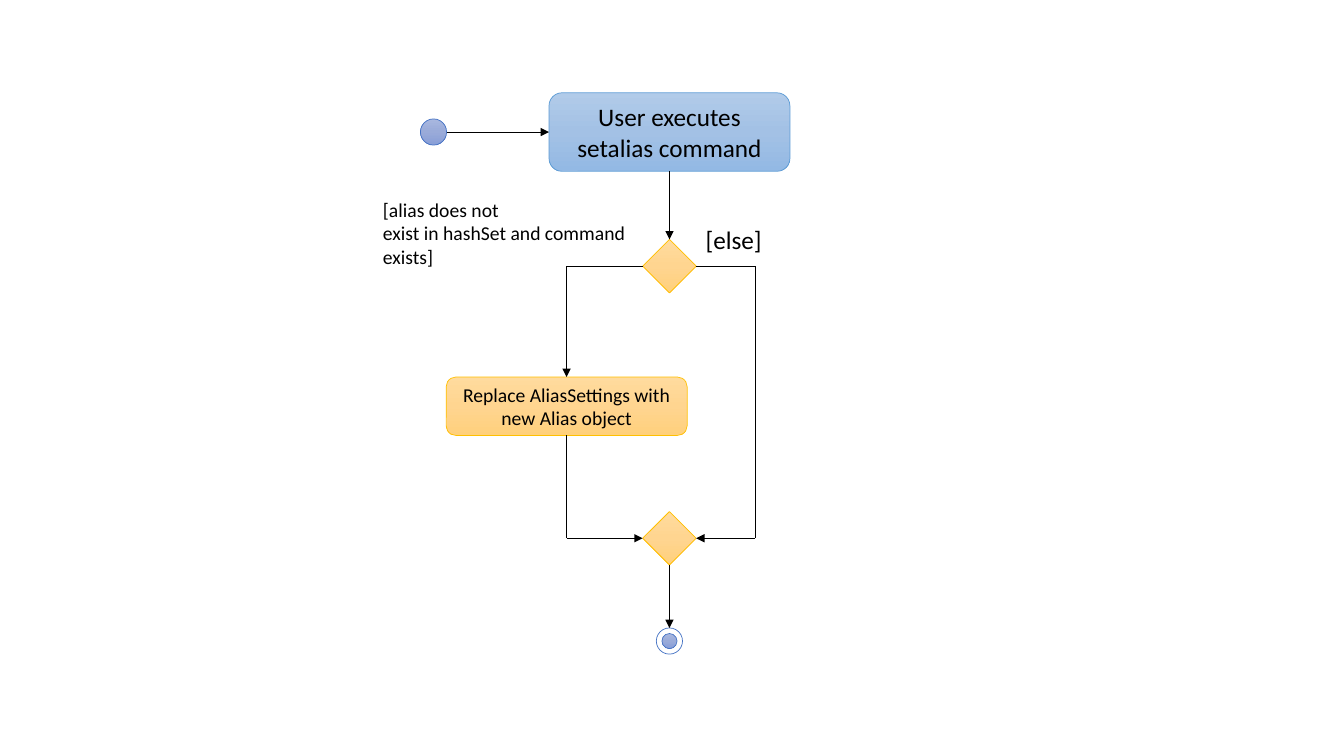
import copy
import itertools

import pptx
import pptx.dml.color
import pptx.enum.shapes
import pptx.enum.text
import pptx.oxml
import pptx.oxml.ns
import pptx.util

RGBColor = pptx.dml.color.RGBColor
Shape = pptx.enum.shapes.MSO_SHAPE
Align = pptx.enum.text.PP_ALIGN

BLACK = RGBColor(0x00, 0x00, 0x00)
WHITE = RGBColor(0xFF, 0xFF, 0xFF)
INDIGO_LINE = RGBColor(0x44, 0x72, 0xC4)
BLUE_LINE = RGBColor(0x5B, 0x9B, 0xD5)
GOLD_LINE = RGBColor(0xFF, 0xC0, 0x00)
INDIGO = (RGBColor(0xA8, 0xB7, 0xDF), RGBColor(0x9A, 0xAB, 0xD9), RGBColor(0x88, 0x9E, 0xD7))
BLUE = (RGBColor(0xB1, 0xCB, 0xE9), RGBColor(0xA3, 0xC1, 0xE5), RGBColor(0x93, 0xB9, 0xE4))
GOLD = (RGBColor(0xFF, 0xDB, 0x9E), RGBColor(0xFF, 0xD5, 0x90), RGBColor(0xFF, 0xD0, 0x7C))

TOP, LEFT, BOTTOM, RIGHT = range(4)


class ActivityDiagram:
    """Draws on one slide, with lengths in cells of a square grid."""

    font_name = "Calibri"
    line_width = pptx.util.Pt(0.5)
    cell = pptx.util.Inches(0.1)

    def __init__(self, slide):
        self.slide = slide

    def cells(self, *lengths):
        return [round(length * self.cell) for length in lengths]

    def set_text(self, shape, lines, size, alignment):
        frame = shape.text_frame
        frame.word_wrap = True
        frame.text = "\n".join(lines)
        for paragraph in frame.paragraphs:
            paragraph.alignment = alignment
            paragraph.font.name = self.font_name
            paragraph.font.size = pptx.util.Pt(size)
            paragraph.font.color.rgb = BLACK

    def shade(self, shape, colours):
        """Fill from top to bottom with evenly spaced colours."""
        shape.fill.gradient()
        shape.fill.gradient_angle = 270
        stop_list = shape.fill.gradient_stops[0]._gs.getparent()
        stop_list.insert(1, copy.deepcopy(stop_list[0]))
        for index, (stop, colour) in enumerate(zip(shape.fill.gradient_stops, colours)):
            stop.position = index / (len(colours) - 1)
            stop.color.rgb = colour

    def node(self, kind, centre, size, fill, line, text="", text_size=18):
        """Place a shape by its centre; fill is one colour or a gradient's colours."""
        (x, y), (width, height) = centre, size
        shape = self.slide.shapes.add_shape(
            kind, *self.cells(x - width / 2, y - height / 2, width, height))
        shape.shadow.inherit = False
        if isinstance(fill, RGBColor):
            shape.fill.solid()
            shape.fill.fore_color.rgb = fill
        else:
            self.shade(shape, fill)
        shape.line.color.rgb = line
        shape.line.width = self.line_width
        if text:
            self.set_text(shape, [text], text_size, Align.CENTER)
            shape.text_frame.vertical_anchor = pptx.enum.text.MSO_ANCHOR.MIDDLE
        return shape

    def circle(self, centre, diameter, fill):
        return self.node(Shape.OVAL, centre, (diameter, diameter), fill, INDIGO_LINE)

    def diamond(self, centre):
        return self.node(Shape.DIAMOND, centre, (5.3, 5.3), GOLD, GOLD_LINE)

    def action(self, centre, height, fill, line, text, text_size):
        return self.node(Shape.ROUNDED_RECTANGLE, centre, (23.9, height),
                         fill, line, text, text_size)

    def label(self, left, top, width, height, lines, size):
        box = self.slide.shapes.add_textbox(*self.cells(left, top, width, height))
        self.set_text(box, lines, size, Align.LEFT)
        box.text_frame.auto_size = pptx.enum.text.MSO_AUTO_SIZE.SHAPE_TO_FIT_TEXT

    def side_middle(self, shape, side):
        across = {LEFT: 0, RIGHT: shape.width}.get(side, shape.width // 2)
        down = {TOP: 0, BOTTOM: shape.height}.get(side, shape.height // 2)
        return shape.left + across, shape.top + down

    def connection_site(self, shape, side):
        """Return the site number of a side; an oval has eight sites."""
        return side * 2 if shape.auto_shape_type == Shape.OVAL else side

    def flow(self, source, source_side, target, target_side, *corners):
        """Join two nodes by straight segments, with an arrowhead on the last."""
        points = [self.side_middle(source, source_side),
                  *(self.cells(*corner) for corner in corners),
                  self.side_middle(target, target_side)]
        segments = [self.segment(*pair) for pair in itertools.pairwise(points)]
        segments[0].begin_connect(source, self.connection_site(source, source_side))
        segments[-1].end_connect(target, self.connection_site(target, target_side))
        # Joining an oval uses the first four sites only, so the ends are set again.
        segments[0].begin_x, segments[0].begin_y = points[0]
        segments[-1].end_x, segments[-1].end_y = points[-1]
        segments[-1].line._get_or_add_ln().append(pptx.oxml.parse_xml(
            f'<a:tailEnd {pptx.oxml.ns.nsdecls("a")} type="triangle"/>'))

    def segment(self, begin, end):
        connector = self.slide.shapes.add_connector(
            pptx.enum.shapes.MSO_CONNECTOR.STRAIGHT, *begin, *end)
        connector.line.color.rgb = BLACK
        connector.line.width = self.line_width
        connector._element.spPr.append(pptx.oxml.parse_xml(
            f'<a:effectLst {pptx.oxml.ns.nsdecls("a")}/>'))
        return connector


def main():
    presentation = pptx.Presentation()
    presentation.slide_width = pptx.util.Inches(13.33)
    presentation.slide_height = pptx.util.Inches(7.5)
    blank_layout = presentation.slide_layouts[6]
    diagram = ActivityDiagram(presentation.slides.add_slide(blank_layout))

    spine, branch, bypass = 66.4, 56.2, 74.9
    start_row, decision_row, merge_row, end_row = 13.1, 26.4, 53.4, 63.6

    start = diagram.circle((43, start_row), 2.6, INDIGO)
    command = diagram.action((spine, start_row), 7.8, BLUE, BLUE_LINE,
                             "User executes setalias command", 18)
    decision = diagram.diamond((spine, decision_row))
    replace = diagram.action((branch, 40.3), 5.8, GOLD, GOLD_LINE,
                             "Replace AliasSettings with new Alias object", 14)
    merge = diagram.diamond((spine, merge_row))
    end = diagram.circle((spine, end_row), 2.6, WHITE)
    diagram.circle((spine, end_row), 1.5, INDIGO)

    diagram.label(37, 19.1, 28.1, 8.1,
                  ["[alias does not", "exist in hashSet and command exists]"], 14)
    diagram.label(69, 21.8, 9.3, 4, ["[else]"], 18)

    # The start circle's right side is site 6, beyond what begin_connect can place.
    diagram.flow(command, BOTTOM, decision, TOP)
    diagram.flow(decision, LEFT, replace, TOP, (branch, decision_row))
    diagram.flow(replace, BOTTOM, merge, LEFT, (branch, merge_row))
    diagram.flow(decision, RIGHT, merge, RIGHT,
                 (bypass, decision_row), (bypass, merge_row))
    diagram.flow(merge, BOTTOM, end, TOP)
    first_arrow = diagram.segment(diagram.side_middle(start, RIGHT),
                                  diagram.side_middle(command, LEFT))
    first_arrow.end_connect(command, LEFT)
    first_arrow.line._get_or_add_ln().append(pptx.oxml.parse_xml(
        f'<a:tailEnd {pptx.oxml.ns.nsdecls("a")} type="triangle"/>'))

    presentation.save("out.pptx")


if __name__ == "__main__":
    main()
